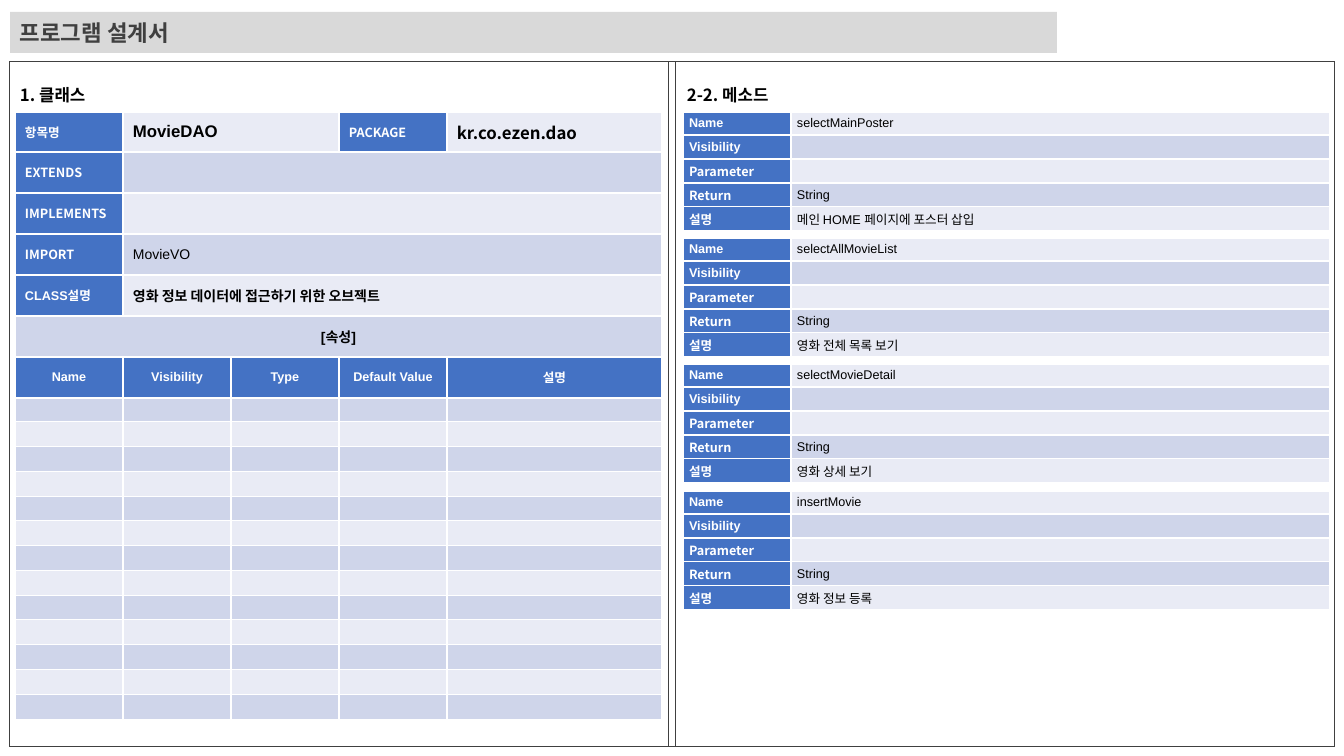
from lxml import etree
from pptx import Presentation
from pptx import util as u
from pptx.dml.color import RGBColor
from pptx.enum import shapes, text
from pptx.oxml.ns import qn

PX = 914400 / 100.8
COLORS = {"label": "4472C4", "light": "E9EBF5", "dark": "CFD5EA", "white": "FFFFFF",
          "black": "000000", "gray": "404040", "banner": "D9D9D9"}
ARIAL, NOTO = "Arial", "Noto Sans CJK KR"
# font, points, bold, colour
STYLES = {
    "title": (NOTO, 16, True, "gray"),
    "heading": (NOTO, 12, True, "black"),
    "label": (ARIAL, 9, True, "white"),
    "label noto": (NOTO, 9, True, "white"),
    "name": (ARIAL, 12, True, "black"),
    "package": (NOTO, 12, True, "black"),
    "plain": (ARIAL, 9, False, "black"),
    "import": (ARIAL, 10, False, "black"),
    "strong": (ARIAL, 10, True, "black"),
}
METHODS = [
    ("selectMainPoster", "메인 HOME 페이지에 포스터 삽입"),
    ("selectAllMovieList", "영화 전체 목록 보기"),
    ("selectMovieDetail", "영화 상세 보기"),
    ("insertMovie", "영화 정보 등록"),
]


def px(length):
    return u.Emu(round(length * PX))


def color(name):
    return RGBColor.from_string(COLORS[name])


def split(total, count):
    """Share a length among whole-pixel parts that differ by one at most."""
    return [total * (i + 1) // count - total * i // count for i in range(count)]


def write(frame, words, style, align=text.PP_ALIGN.LEFT):
    font, points, bold, tone = STYLES[style]
    para = frame.paragraphs[0]
    para.alignment = align
    span = para.add_run()
    span.text = words
    span.font.name, span.font.size, span.font.bold = font, u.Pt(points), bold
    span.font.color.rgb = color(tone)
    etree.SubElement(span.font._element, qn("a:ea"), typeface=NOTO)


def add_rectangle(page, box, fill=None, line=None):
    shape = page.shapes.add_shape(shapes.MSO_SHAPE.RECTANGLE, *map(px, box))
    shape.shadow.inherit = False
    if fill:
        shape.fill.solid()
        shape.fill.fore_color.rgb = color(fill)
    else:
        shape.fill.background()
    if line:
        shape.line.color.rgb = color(line)
        shape.line.width = u.Pt(0.5)
    else:
        shape.line.fill.background()
    return shape


def add_heading(page, left, top, words):
    box = page.shapes.add_textbox(*map(px, (left, top, 156, 30)))
    box.text_frame.word_wrap = True
    box.text_frame.auto_size = text.MSO_AUTO_SIZE.SHAPE_TO_FIT_TEXT
    write(box.text_frame, words, "heading")


def add_borders(cell):
    properties = cell._tc.get_or_add_tcPr()
    for side in ("a:lnL", "a:lnR", "a:lnT", "a:lnB"):
        line = etree.SubElement(properties, qn(side), w=str(u.Pt(1)))
        fill = etree.SubElement(line, qn("a:solidFill"))
        etree.SubElement(fill, qn("a:srgbClr"), val=COLORS["white"])


def add_grid(page, left, top, columns, rows, entries, margins):
    """Entries are (row, column, columns spanned, words, style, alignment)."""
    size = map(px, (left, top, sum(columns), sum(rows)))
    table = page.shapes.add_table(len(rows), len(columns), *size).table
    table.first_row = table.horz_banding = False
    for column, width in zip(table.columns, columns):
        column.width = px(width)
    for r, height in enumerate(rows):
        table.rows[r].height = px(height)
        for c in range(len(columns)):
            cell = table.cell(r, c)
            cell.margin_left = cell.margin_right = px(margins[0])
            cell.margin_top = cell.margin_bottom = px(margins[1])
            cell.vertical_anchor = text.MSO_ANCHOR.MIDDLE
            add_borders(cell)
            cell.fill.solid()
            cell.fill.fore_color.rgb = color("dark" if r % 2 else "light")
    for r, c, span, words, style, align in entries:
        cell = table.cell(r, c)
        if span > 1:
            cell.merge(table.cell(r, c + span - 1))
        if style.startswith("label"):
            cell.fill.fore_color.rgb = color("label")
        if words:
            write(cell.text_frame, words, style, align)
    for cell in table.iter_cells():
        if not cell.text:  # small end mark keeps short rows from growing
            para = cell.text_frame.paragraphs[0]._p
            etree.SubElement(para, qn("a:endParaRPr"), sz="600")


def add_class_panel(page, left, top):
    start, center = text.PP_ALIGN.LEFT, text.PP_ALIGN.CENTER
    add_rectangle(page, (left, top, 659, 685), line="gray")
    add_heading(page, left + 1, top + 19, "1. 클래스")
    entries = [
        (0, 0, 1, "항목명", "label", start),
        (0, 1, 2, "MovieDAO", "name", start),
        (0, 3, 1, "PACKAGE", "label noto", start),
        (0, 4, 1, "kr.co.ezen.dao", "package", start),
        (1, 0, 1, "EXTENDS", "label noto", start),
        (1, 1, 4, "", "plain", start),
        (2, 0, 1, "IMPLEMENTS", "label noto", start),
        (2, 1, 4, "", "plain", start),
        (3, 0, 1, "IMPORT", "label noto", start),
        (3, 1, 4, "MovieVO", "import", start),
        (4, 0, 1, "CLASS설명", "label", start),
        (4, 1, 4, "영화 정보 데이터에 접근하기 위한 오브젝트", "strong", start),
        (5, 0, 5, "[속성]", "strong", center),
    ]
    fields = ("Name", "Visibility", "Type", "Default Value", "설명")
    entries += [(6, c, 1, field, "label", center) for c, field in enumerate(fields)]
    rows = split(286, 7) + split(322, 13)
    add_grid(page, left + 6, top + 51, [108] * 4 + [215], rows, entries, (10, 5))


def add_method_panel(page, left, top):
    start = text.PP_ALIGN.LEFT
    add_rectangle(page, (left, top, 659, 685), line="gray")
    add_heading(page, left + 2, top + 19, "2-2. 메소드")
    for i, (name, summary) in enumerate(METHODS):
        lines = [("Name", "label", name), ("Visibility", "label", ""),
                 ("Parameter", "label noto", ""), ("Return", "label noto", "String"),
                 ("설명", "label", summary)]
        entries = []
        for r, (label, style, value) in enumerate(lines):
            entries += [(r, 0, 1, label, style, start), (r, 1, 1, value, "plain", start)]
        add_grid(page, left + 8, top + 51 + 379 * i // 3, [108, 539],
                 split(119, 5), entries, (6, 2))


def add_banner(page, box, words):
    banner = add_rectangle(page, box, fill="banner")
    banner.text_frame.word_wrap = True
    banner.text_frame.vertical_anchor = text.MSO_ANCHOR.MIDDLE
    write(banner.text_frame, words, "title")


def main():
    deck = Presentation()
    deck.slide_width, deck.slide_height = px(1344), px(756)
    page = deck.slides.add_slide(deck.slide_layouts[6])
    add_banner(page, (10, 12, 1047, 41), "프로그램 설계서")
    add_rectangle(page, (9, 61, 1325, 685), line="gray")
    add_class_panel(page, 9, 61)
    add_method_panel(page, 675, 61)
    deck.save("out.pptx")


if __name__ == "__main__":
    main()
